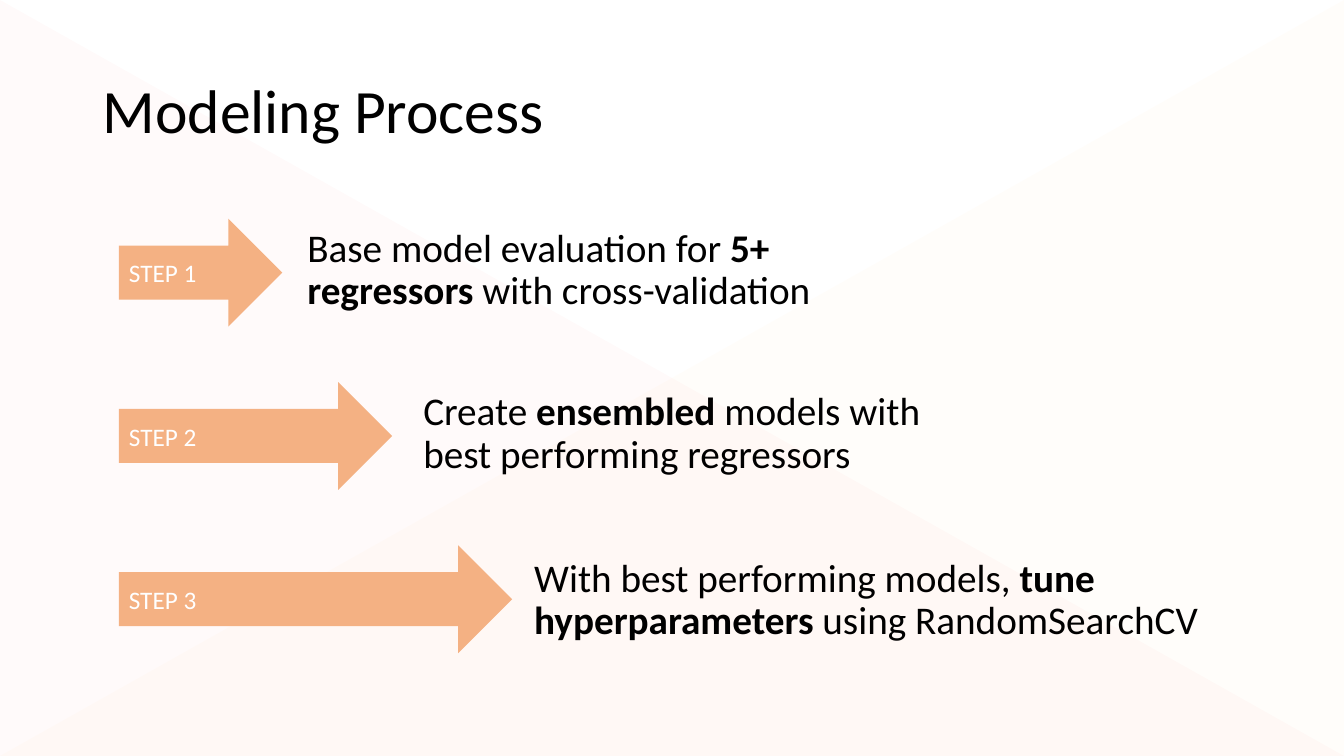
import pptx
import pptx.dml.color
import pptx.enum.shapes
import pptx.enum.text
import pptx.oxml
import pptx.oxml.ns
import pptx.util
from pptx.util import Inches

FONT = "Calibri"
BLACK, WHITE, ORANGE = "000000", "FFFFFF", "F4B183"
SHAPES = pptx.enum.shapes.MSO_SHAPE
ANCHORS = pptx.enum.text.MSO_ANCHOR

# arrow width, text left, text top, text width, (wording, bold) runs
STEPS = [
    (1.62, 2.95, 2.22, 5.46, [("Base model evaluation for ", False),
                              ("5+ regressors", True),
                              (" with cross-validation", False)]),
    (2.71, 4.1, 3.84, 5.23, [("Create ", False),
                             ("ensembled", True),
                             (" models with best performing regressors", False)]),
    (3.9, 5.2, 5.49, 7.58, [("With best performing models, ", False),
                            ("tune hyperparameters ", True),
                            ("using RandomSearchCV", False)]),
]
STEP_LEFT, STEP_TOP, STEP_PITCH = 1.18, 2.17, 1.62
ARROW_HEIGHT, TEXT_HEIGHT = 1.07, 0.98


def color(hex_string):
    """Turn a hex string into a colour."""
    return pptx.dml.color.RGBColor.from_string(hex_string)


def add_filled_shape(slide, kind, box, fill):
    """Add a preset shape with a flat fill, no line and no shadow."""
    shape = slide.shapes.add_shape(kind, *map(Inches, box))
    shape.shadow.inherit = False
    shape.fill.solid()
    shape.fill.fore_color.rgb = color(fill)
    shape.line.fill.background()
    return shape


def write_runs(text_frame, runs, size, font_color, line_spacing=1.0):
    """Write one left-aligned paragraph of (wording, bold) runs."""
    text_frame.word_wrap = True
    paragraph = text_frame.paragraphs[0]
    paragraph.alignment = pptx.enum.text.PP_ALIGN.LEFT
    paragraph.line_spacing = line_spacing
    for wording, bold in runs:
        run = paragraph.add_run()
        run.text = wording
        run.font.name = FONT
        run.font.size = pptx.util.Pt(size)
        run.font.bold = bold
        run.font.color.rgb = color(font_color)


def add_text(slide, box, runs, size, anchor):
    """Add a wrapping text box in black."""
    text_frame = slide.shapes.add_textbox(*map(Inches, box)).text_frame
    text_frame.vertical_anchor = anchor
    write_runs(text_frame, runs, size, BLACK, line_spacing=0.9)


def add_backdrop(slide, box):
    """Cover the box with two faint, mirrored triangles."""
    for fill, mirrored in (("FFC000", True), ("FF0000", False)):
        triangle = add_filled_shape(slide, SHAPES.RIGHT_TRIANGLE, box, fill)
        if mirrored:
            triangle._element.spPr.xfrm.set("flipH", "1")
        fill_color = triangle._element.spPr.find(".//" + pptx.oxml.ns.qn("a:srgbClr"))
        fill_color.append(pptx.oxml.parse_xml(
            f'<a:alpha {pptx.oxml.ns.nsdecls("a")} val="2000"/>'))


def add_step(slide, arrow_box, text_box, label, runs):
    """Add a labelled arrow and the description to its right."""
    arrow = add_filled_shape(slide, SHAPES.RIGHT_ARROW, arrow_box, ORANGE)
    arrow.text_frame.vertical_anchor = ANCHORS.MIDDLE
    write_runs(arrow.text_frame, [(label, False)], 18, WHITE)
    add_text(slide, text_box, runs, 28, ANCHORS.TOP)


def build_process_slide(presentation):
    """Build the slide with its title and three steps."""
    slide = presentation.slides.add_slide(presentation.slide_layouts[6])
    slide.background.fill.solid()
    slide.background.fill.fore_color.rgb = color(WHITE)
    add_backdrop(slide, (0, 0, 13.33, 7.5))
    add_text(slide, (0.92, 0.4, 11.5, 1.45), [("Modeling Process", False)],
             44, ANCHORS.MIDDLE)
    for index, (arrow_width, left, top, width, runs) in enumerate(STEPS):
        arrow_top = STEP_TOP + index * STEP_PITCH
        add_step(slide, (STEP_LEFT, arrow_top, arrow_width, ARROW_HEIGHT),
                 (left, top, width, TEXT_HEIGHT), f"STEP {index + 1}", runs)


presentation = pptx.Presentation()
presentation.slide_width = Inches(13.33)
presentation.slide_height = Inches(7.5)
build_process_slide(presentation)
presentation.save("out.pptx")
